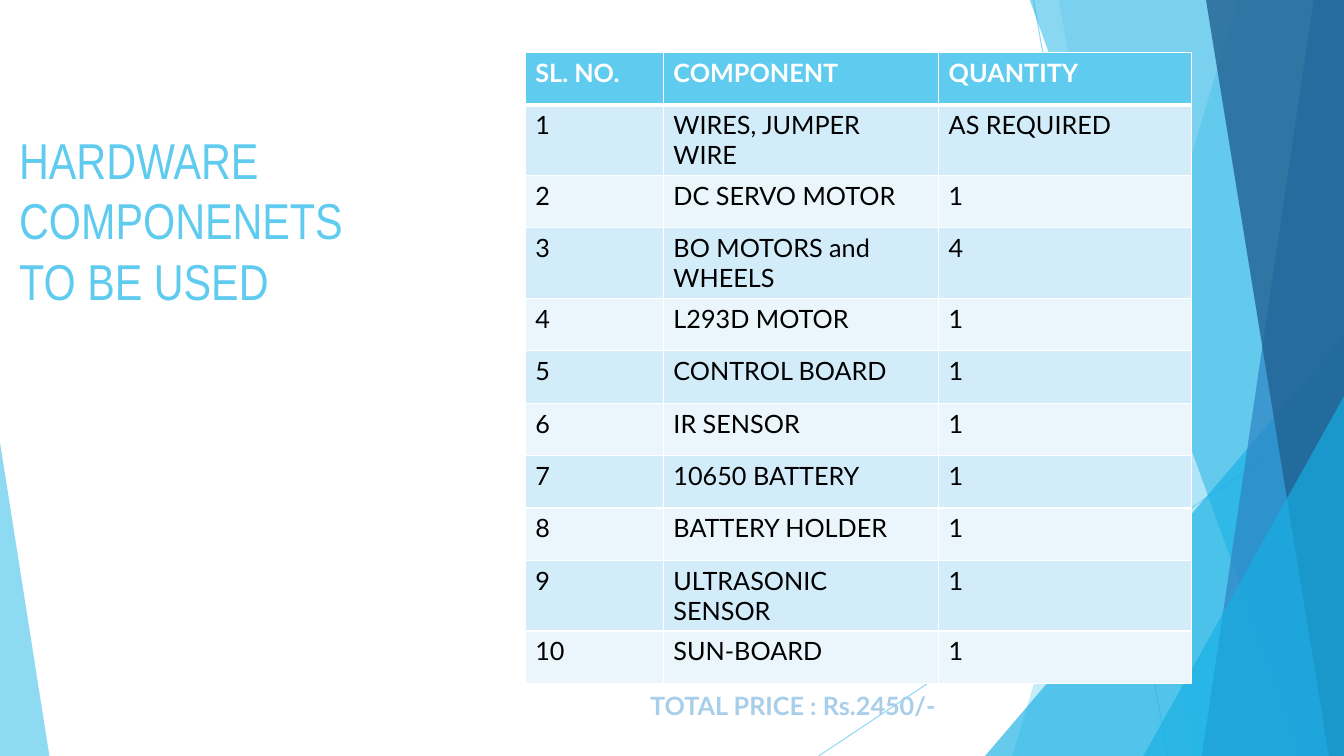
"""Build the hardware components slide."""
from lxml import etree
from pptx import Presentation
from pptx.dml.color import RGBColor
from pptx.enum.shapes import MSO_CONNECTOR, MSO_SHAPE
from pptx.enum.text import MSO_ANCHOR, PP_ALIGN
from pptx.oxml.ns import qn
from pptx.util import Inches, Pt

STRAIGHT = MSO_CONNECTOR.STRAIGHT
TRIANGLE = MSO_SHAPE.ISOSCELES_TRIANGLE
TOP, LEFT = MSO_ANCHOR.TOP, PP_ALIGN.LEFT
COLORS = {
    "sky": "5FCBEF", "cyan": "17B0E4", "blue": "2E83C3", "navy": "226292",
    "white": "FFFFFF", "black": "000000", "band": "D2ECF9",
    "pale": "EAF6FC", "price": "A8CEEA",
}
RIGHT, BOTTOM, ABOVE = 13.33, 7.5, -0.01


def paint(fill, sp, color, alpha):
    fill.solid()
    fill.fore_color.rgb = RGBColor.from_string(COLORS[color])
    for clr in sp._element.iter(qn("a:srgbClr")):
        etree.SubElement(clr, qn("a:alpha"), val=str(alpha * 1000))


def style_text(tf, font, size, color, bold=False):
    for p in tf.paragraphs:
        p.alignment = LEFT
        for r in p.runs:
            r.font.name = font
            r.font.size = Pt(size)
            r.font.bold = bold
            r.font.color.rgb = RGBColor.from_string(COLORS[color])


prs = Presentation()
prs.slide_width, prs.slide_height = Inches(RIGHT), Inches(BOTTOM)
s = prs.slides.add_slide(prs.slide_layouts[5])

for x1, y1, x2 in [(10.25, 0, 11.58), (RIGHT, 4.03, 8.12)]:
    line = s.shapes.add_connector(STRAIGHT, Inches(x1), Inches(y1), Inches(x2), Inches(BOTTOM))
    line.line.width = Pt(0.75)
    paint(line.line.fill, line, "sky", 70)
    etree.SubElement(line._element.spPr, qn("a:effectLst"))

facets = [
    ("band", 12.28, 10.04, "sky", 36),
    ("band", 10.5, 11.83, "sky", 20),
    ("triangle", (9.77, 3.33, 3.56, 4.17), 1, "cyan", 66),
    ("band", 10.21, 12.91, "cyan", 50),
    ("band", 13.03, 11.92, "blue", 70),
    ("band", 11.96, 13.18, "navy", 80),
    ("triangle", (11.34, 3.93, 1.99, 3.57), 1, "cyan", 66),
    ("triangle", (0, 4.39, 0.49, 3.11), 0, "sky", 70),
]
for kind, start, end, color, alpha in facets:
    if kind == "triangle":
        sp = s.shapes.add_shape(TRIANGLE, *map(Inches, start))
        sp.adjustments[0] = end
    else:
        corners = [(RIGHT, ABOVE), (RIGHT, BOTTOM), (end, BOTTOM)]
        builder = s.shapes.build_freeform(Inches(start), Inches(ABOVE))
        builder.add_line_segments([(Inches(x), Inches(y)) for x, y in corners])
        sp = builder.convert_to_shape()
    sp.shadow.inherit = False
    sp.line.fill.background()
    paint(sp.fill, sp, color, alpha)

title = s.shapes.title
title.left, title.top, title.width, title.height = map(Inches, (0.09, 1.23, 3.74, 5.03))
tf = title.text_frame
tf.text = "HARDWARE COMPONENETS TO BE USED"
tf.word_wrap = True
tf.vertical_anchor = TOP
style_text(tf, "Arial Narrow", 36, "sky")

components = [
    ("WIRES, JUMPER WIRE", "AS REQUIRED"), ("DC SERVO MOTOR", "1"),
    ("BO MOTORS and WHEELS", "4"), ("L293D MOTOR", "1"),
    ("CONTROL BOARD", "1"), ("IR SENSOR", "1"),
    ("10650 BATTERY", "1"), ("BATTERY HOLDER", "1"),
    ("ULTRASONIC SENSOR", "1"), ("SUN-BOARD", "1"),
]
rows = [("SL. NO.", "COMPONENT", "QUANTITY")]
rows += [(str(n), *item) for n, item in enumerate(components, 1)]
table = s.shapes.add_table(len(rows), 3, Inches(5.21), Inches(0.52),
                           Inches(6.61), Inches(0.52 * len(rows))).table
for column, width in zip(table.columns, (1.37, 2.73, 2.51)):
    column.width = Inches(width)
for i, row in enumerate(rows):
    table.rows[i].height = Inches(0.52)
    header = i == 0
    fill = "sky" if header else ("pale", "band")[i % 2]
    for j, text in enumerate(row):
        cell = table.cell(i, j)
        cell.text_frame.text = text
        style_text(cell.text_frame, "Lato", 18, "white" if header else "black", header)
        cell.fill.solid()
        cell.fill.fore_color.rgb = RGBColor.from_string(COLORS[fill])
        tc_pr = cell._tc.get_or_add_tcPr()
        for k, side in enumerate("LRTB"):
            thick = (i, side) in [(0, "B"), (1, "T")]
            border = etree.Element(qn("a:ln" + side), w=str(Pt(3 if thick else 1)))
            solid = etree.SubElement(border, qn("a:solidFill"))
            etree.SubElement(solid, qn("a:srgbClr"), val=COLORS["white"])
            tc_pr.insert(k, border)

price = s.shapes.add_textbox(Inches(6.35), Inches(6.8), Inches(4.63), Inches(0.4))
tf = price.text_frame
tf.word_wrap = True
tf.text = "TOTAL PRICE : Rs.2450/-"
style_text(tf, "Lato", 18, "price", True)
outline = etree.Element(qn("a:ln"), w=str(Pt(1.75)))
solid = etree.SubElement(outline, qn("a:solidFill"))
etree.SubElement(solid, qn("a:srgbClr"), val=COLORS["blue"])
tf.paragraphs[0].runs[0]._r.get_or_add_rPr().insert(0, outline)

prs.save("out.pptx")
